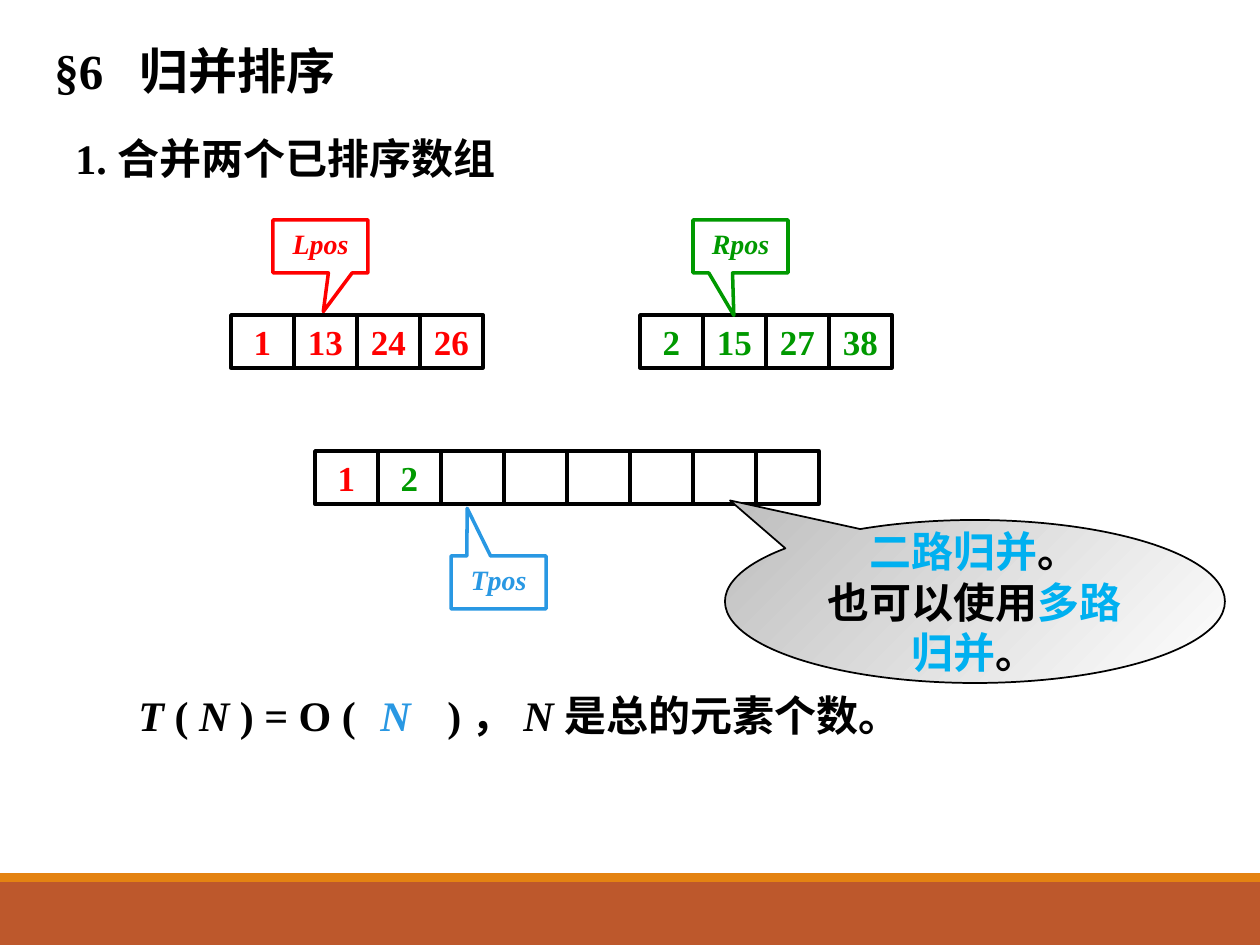
from lxml.etree import SubElement as Sub
from pptx import Presentation
from pptx.dml.color import RGBColor
from pptx.enum.shapes import MSO_SHAPE as Kind
from pptx.enum.text import MSO_ANCHOR as Anchor, PP_ALIGN as Align
from pptx.oxml.ns import qn
from pptx.util import Emu, Pt

FONT = "Times New Roman"
BLACK, RED, GREEN, BLUE, CYAN = "000000", "FF0000", "009900", "2998E3", "00B0F0"
CELL, TALL = 63, 53


def px(n):
    """Turn pixels into EMU."""
    return Emu(round(n * 914400 / 126))


def rgb(code):
    """Turn a hex string into a colour."""
    return RGBColor.from_string(code)


def write(para, runs, size, align=Align.LEFT, tab=None):
    """Fill a paragraph with (text, colour, italic) runs."""
    para.alignment = align
    if tab:
        stops = Sub(para._p.get_or_add_pPr(), qn("a:tabLst"))
        Sub(stops, qn("a:tab"), pos=str(px(tab)), algn="l")
    for text, color, slant in runs:
        run = para.add_run()
        run.text = text
        font = run.font
        font.name, font.size = FONT, Pt(size)
        font.bold, font.italic = True, slant
        font.color.rgb = rgb(color)


def label(slide, box, runs, size, tab=None, wrap=True):
    """Add a text box with one paragraph."""
    frame = slide.shapes.add_textbox(*map(px, box)).text_frame
    frame.word_wrap = wrap
    write(frame.paragraphs[0], runs, size, tab=tab)


def shape(shapes, kind, box, fill=None, line=None, width=2):
    """Add a preset shape without a shadow."""
    item = shapes.add_shape(kind, *map(px, box))
    item.shadow.inherit = False
    if fill:
        item.fill.solid()
        item.fill.fore_color.rgb = rgb(fill)
    else:
        item.fill.background()
    if line:
        item.line.color.rgb = rgb(line)
        item.line.width = Pt(width)
    else:
        item.line.fill.background()
    return item


def array(slide, left, top, cells):
    """Add a grouped row of (value, colour) cells."""
    group = slide.shapes.add_group_shape()
    for i, (value, color) in enumerate(cells):
        box = (left + i * CELL, top, CELL, TALL)
        cell = shape(group.shapes, Kind.RECTANGLE, box, line=BLACK)
        if value:
            frame = cell.text_frame
            frame.word_wrap = False
            frame.vertical_anchor = Anchor.MIDDLE
            write(frame.paragraphs[0], [(value, color, False)], 20, Align.CENTER)


def marker(slide, left, top, name, color, tip):
    """Add a callout that names an array index."""
    box = (left, top, 95, TALL)
    item = shape(slide.shapes, Kind.RECTANGULAR_CALLOUT, box, line=color)
    item.adjustments[0], item.adjustments[1] = tip
    frame = item.text_frame
    frame.margin_left = frame.margin_right = px(3)
    frame.vertical_anchor = Anchor.TOP
    write(frame.paragraphs[0], [(name, color, True)], 16, Align.CENTER)


def bubble(slide, box, tip, lines):
    """Add a shaded oval callout with centred lines."""
    item = shape(slide.shapes, Kind.OVAL_CALLOUT, box, line=BLACK, width=1)
    item.adjustments[0], item.adjustments[1] = tip
    item.fill.gradient()
    item.fill.gradient_angle = 315
    for stop, color, place in zip(item.fill.gradient_stops, ("C0C0C0", "FFFFFF"), (0, 1)):
        stop.color.rgb = rgb(color)
        stop.position = place
    frame = item.text_frame
    frame.word_wrap = True
    frame.vertical_anchor = Anchor.MIDDLE
    for i, runs in enumerate(lines):
        para = frame.add_paragraph() if i else frame.paragraphs[0]
        write(para, runs, 24, Align.CENTER)


def main():
    """Build the merge sort slide."""
    deck = Presentation()
    deck.slide_width, deck.slide_height = px(1260), px(945)
    slide = deck.slides.add_slide(deck.slide_layouts[6])

    shape(slide.shapes, Kind.RECTANGLE, (0, 882, 1260, 63), "BD582C")
    shape(slide.shapes, Kind.RECTANGLE, (0, 873, 1260, 9), "E48312")
    label(slide, (42, 34, 399, 72), [("§6\t归并排序", BLACK, False)], 28, tab=85)
    label(slide, (63, 126, 494, 63), [("1. 合并两个已排序数组", BLACK, False)], 24)

    array(slide, 231, 315, [(n, RED) for n in ("1", "13", "24", "26")])
    array(slide, 640, 315, [(n, GREEN) for n in ("2", "15", "27", "38")])
    array(slide, 315, 451, [("1", RED), ("2", GREEN)] + [("", BLACK)] * 6)

    cost = [("T ", BLACK, True), ("( ", BLACK, False), ("N ", BLACK, True),
            (") = O (\t) ， ", BLACK, False), ("N ", BLACK, True),
            ("是总的元素个数。", BLACK, False)]
    label(slide, (126, 683, 977, 71), cost, 24, tab=309)
    label(slide, (368, 683, 55, 63), [("N", BLUE, True)], 24, wrap=False)

    marker(slide, 273, 220, "Lpos", RED, (0.03, 1.23))
    marker(slide, 693, 220, "Rpos", GREEN, (-0.07, 1.3))
    marker(slide, 451, 556, "Tpos", BLUE, (-0.33, -1.4))
    bubble(slide, (725, 520, 500, 163), (-0.49, -0.62), [
        [("二路归并", CYAN, False), ("。", BLACK, False)],
        [("也可以使用", BLACK, False), ("多路归并", CYAN, False), ("。", BLACK, False)],
    ])
    deck.save("out.pptx")


if __name__ == "__main__":
    main()
